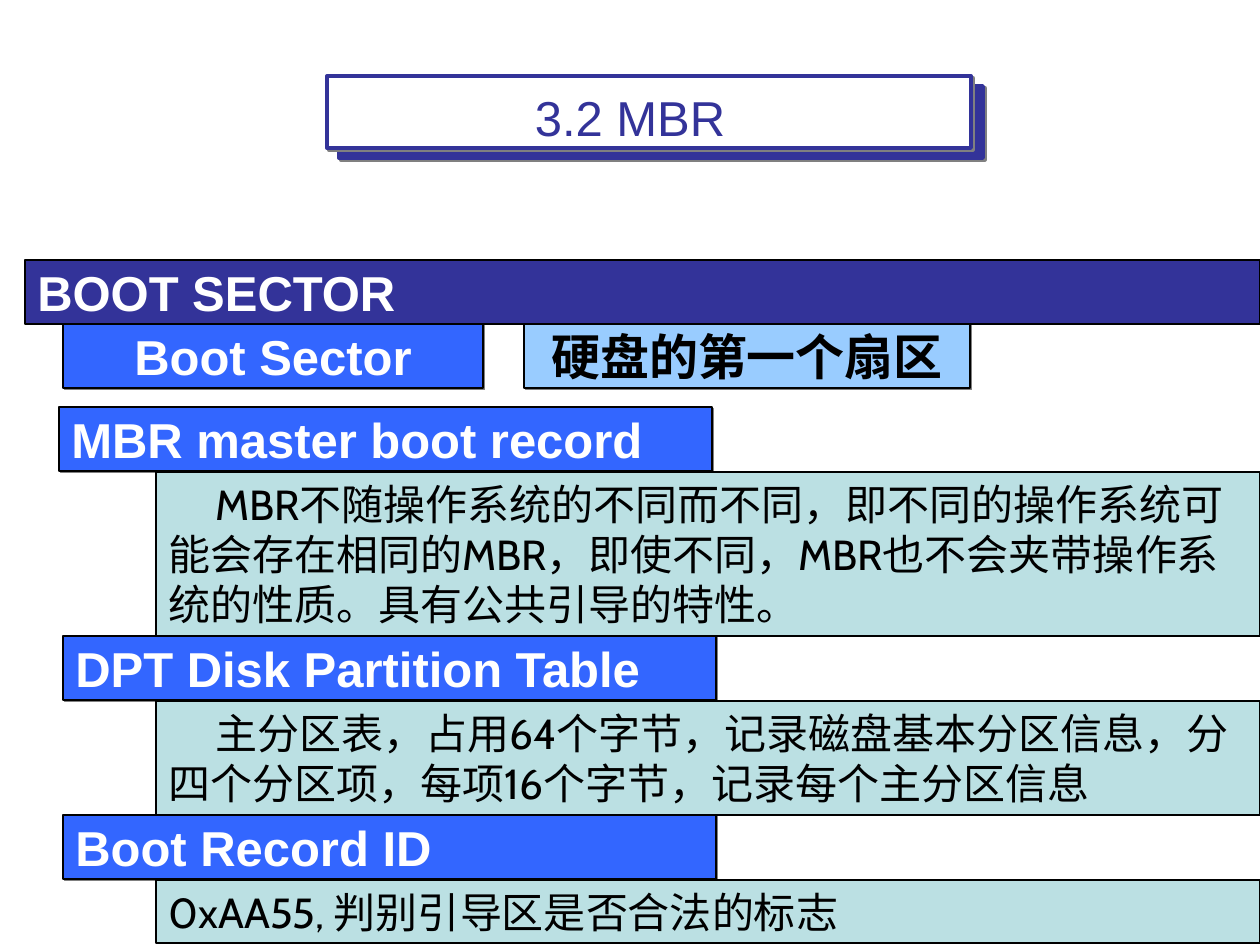
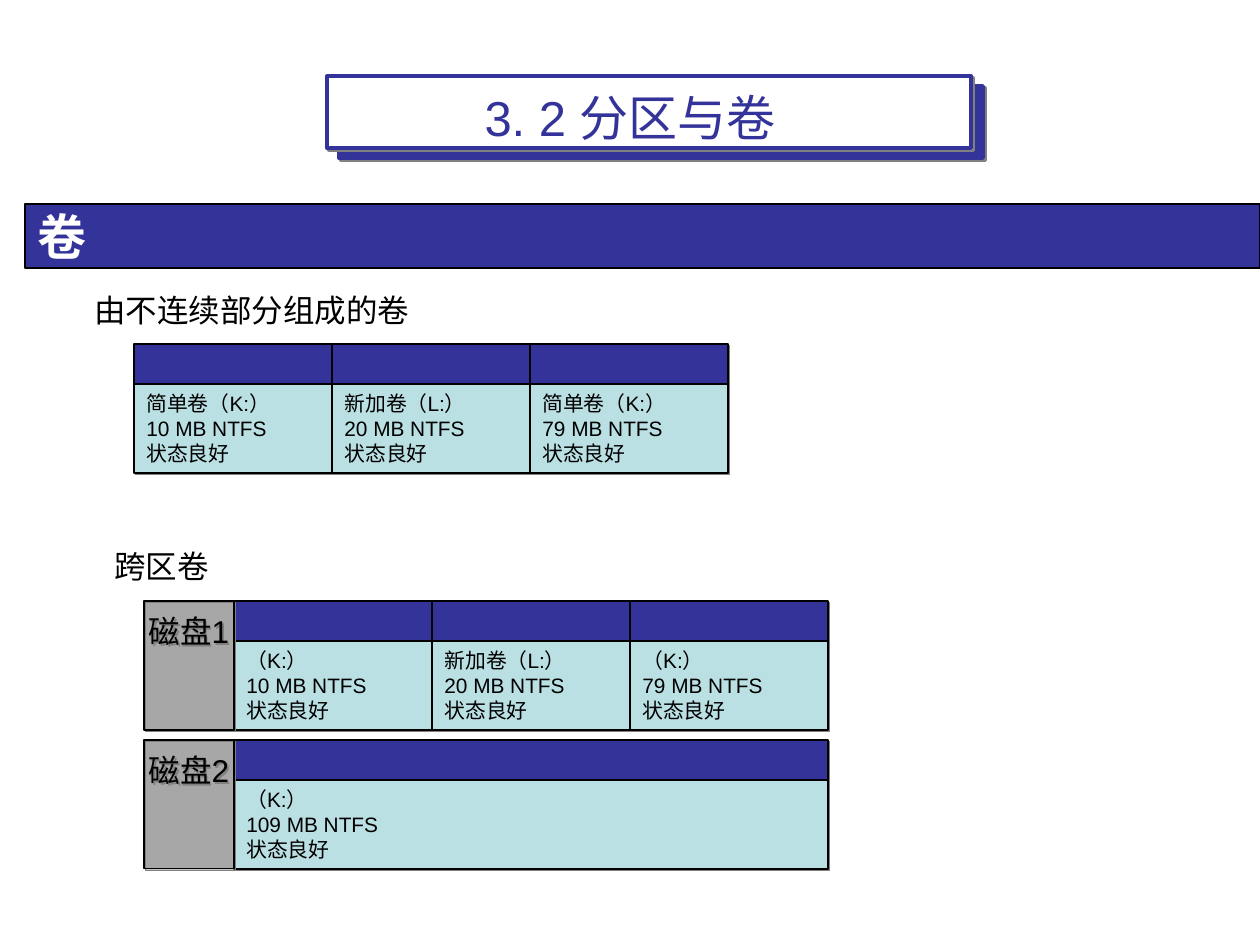
from lxml.etree import SubElement
from pptx import Presentation
from pptx.dml.color import RGBColor
from pptx.enum.shapes import MSO_SHAPE
from pptx.enum.text import MSO_ANCHOR, PP_ALIGN
from pptx.oxml.ns import qn
from pptx.util import Emu, Pt

NAVY, BLUE, SKY, TEAL = "333399", "3366FF", "99CCFF", "BBE0E3"
GREY, WHITE, BLACK = "808080", "FFFFFF", "000000"
HEAD, BODY, BAR = 40, 89, 64


def px(count):
    """Turn pixels into EMU."""
    return Emu(round(count * 914400 / 126))


def tint(code):
    """Turn a hex string into a colour."""
    return RGBColor.from_string(code)


def write(shape, text, size, color=BLACK, font="Arial", bold=False,
          align=PP_ALIGN.LEFT, anchor=MSO_ANCHOR.MIDDLE, wrap=True):
    """Put styled text into a shape, one paragraph a line."""
    frame = shape.text_frame
    frame.text = text
    frame.word_wrap = wrap
    frame.vertical_anchor = anchor
    for para in frame.paragraphs:
        para.alignment = align
        for run in para.runs:
            run.font.size = Pt(size)
            run.font.name = font
            run.font.bold = bold
            run.font.color.rgb = tint(color)
    return frame


def shade(shape):
    """Add a small grey shadow to the lower right."""
    effects = shape._element.spPr.find(qn("a:effectLst"))
    outer = SubElement(effects, qn("a:outerShdw"), dist="17961", dir="2700000",
                       algn="ctr", rotWithShape="0")
    SubElement(outer, qn("a:srgbClr"), val=GREY)


def block(slide, box, fill, edge=BLACK, width=0.75, shadow=True):
    """Draw a filled and outlined rectangle."""
    shape = slide.shapes.add_shape(MSO_SHAPE.RECTANGLE, *map(px, box))
    shape.shadow.inherit = False
    shape.fill.solid()
    shape.fill.fore_color.rgb = tint(fill)
    shape.line.color.rgb = tint(edge)
    shape.line.width = Pt(width)
    if shadow:
        shade(shape)
    return shape


def label(slide, box, text, fill=BLUE, color=WHITE, align=PP_ALIGN.LEFT, shadow=True):
    """Draw a bar with a bold heading."""
    shape = block(slide, box, fill, shadow=shadow)
    write(shape, text, 28, color, bold=True, align=align)


def title(slide, box, text):
    """Draw the doubled title frame and its text."""
    left, top, width, height = box
    for shift, fill in ((12, NAVY), (0, WHITE)):
        block(slide, (left + shift, top + shift * 5 // 6, width, height), fill, NAVY, 2.25)
    area = slide.shapes.add_textbox(*map(px, (63, top - 38, 1134, 158)))
    write(area, text, 28, NAVY, align=PP_ALIGN.CENTER)


def start(deck, text, top, topic):
    """Add a slide with its title and topic band."""
    slide = deck.slides.add_slide(deck.slide_layouts[6])
    title(slide, (327, 76, 644, 72), text)
    label(slide, (25, top, 1235, BAR), topic, NAVY, shadow=False)
    return slide


def note(slide, box, text, indent):
    """Draw a pale panel of running text."""
    frame = write(block(slide, box, TEAL, shadow=False), text, 24, font="Cabin",
                  anchor=MSO_ANCHOR.TOP)
    frame.paragraphs[0]._p.get_or_add_pPr().set("indent", str(px(indent)))


def caption(slide, box, text):
    """Write a plain heading over a volume row."""
    write(slide.shapes.add_textbox(*map(px, box)), text, 18, anchor=MSO_ANCHOR.TOP)


def strip(slide, box, parts):
    """Draw equal volumes side by side in a box."""
    left, top, width, height = box
    step = width // len(parts)
    for index, (name, size) in enumerate(parts):
        spot = left + index * step
        block(slide, (spot, top, step, HEAD), NAVY)
        cell = block(slide, (spot, top + HEAD, step, height - HEAD), TEAL)
        write(cell, f"{name}\n{size} MB NTFS\n状态良好", 11.9)


def disk(slide, box, text):
    """Draw a half clear disk tag."""
    shape = block(slide, box, GREY)
    color = shape._element.spPr.find(qn("a:solidFill"))[0]
    SubElement(color, qn("a:alpha"), val="44000")
    frame = write(shape, text, 18, align=PP_ALIGN.CENTER, anchor=MSO_ANCHOR.TOP, wrap=False)
    frame.margin_top = px(11)


def record(deck):
    """Build the boot record slide."""
    slide = start(deck, "3.2 MBR", 260, "BOOT SECTOR")
    label(slide, (63, 324, 420, BAR), "Boot Sector", align=PP_ALIGN.CENTER)
    label(slide, (524, 324, 446, BAR), "硬盘的第一个扇区", SKY, BLACK, PP_ALIGN.CENTER)
    rows = (
        (59, 407, "MBR master boot record", 164, 47,
         "MBR不随操作系统的不同而不同，即不同的操作系统可能会存在相同的MBR，"
         "即使不同，MBR也不会夹带操作系统的性质。具有公共引导的特性。"),
        (63, 636, "DPT Disk Partition Table", 114, 47,
         "主分区表，占用64个字节，记录磁盘基本分区信息，"
         "分四个分区项，每项16个字节，记录每个主分区信息"),
        (63, 815, "Boot Record ID", 63, 0, "0xAA55, 判别引导区是否合法的标志"),
    )
    for left, top, name, height, indent, text in rows:
        label(slide, (left, top, 653, BAR), name)
        note(slide, (156, top + BAR + 1, 1104, height), text, indent)


def volume(deck):
    """Build the volumes slide."""
    slide = start(deck, "3. 2 分区与卷", 204, "卷")
    tall = HEAD + BODY
    caption(slide, (82, 285, 345, 50), "由不连续部分组成的卷")
    strip(slide, (134, 344, 594, tall),
          (("简单卷（K:）", 10), ("新加卷（L:）", 20), ("简单卷（K:）", 79)))
    caption(slide, (102, 541, 120, 50), "跨区卷")
    disks = ((("（K:）", 10), ("新加卷（L:）", 20), ("（K:）", 79)), (("（K:）", 109),))
    for index, parts in enumerate(disks):
        top = 601 + index * (tall + 10)
        strip(slide, (234, top, 594, tall), parts)
        disk(slide, (144, top, 90, tall), f"磁盘{index + 1}")


def main():
    """Build and save the deck."""
    deck = Presentation()
    deck.slide_width, deck.slide_height = px(1260), px(945)
    record(deck)
    volume(deck)
    deck.save("out.pptx")


if __name__ == "__main__":
    main()
